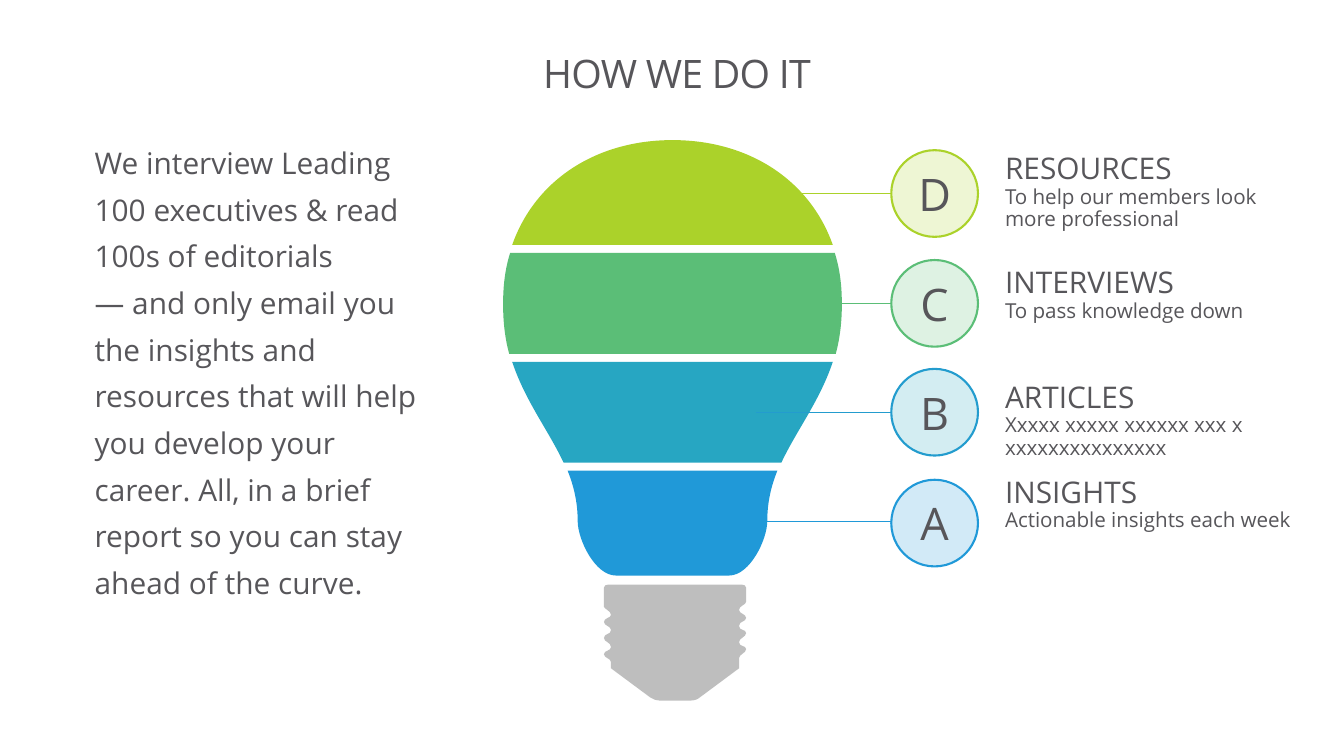
from lxml import etree
from pptx import Presentation
from pptx.dml.color import RGBColor
from pptx.enum.shapes import MSO_CONNECTOR, MSO_SHAPE
from pptx.enum.text import MSO_ANCHOR, PP_ALIGN
from pptx.oxml.ns import qn
from pptx.util import Inches, Pt

STRAIGHT, OVAL = MSO_CONNECTOR.STRAIGHT, MSO_SHAPE.OVAL
CENTER, LEFT = PP_ALIGN.CENTER, PP_ALIGN.LEFT
MIDDLE, TOP = MSO_ANCHOR.MIDDLE, MSO_ANCHOR.TOP

INK = RGBColor(0x57, 0x56, 0x5A)
GRAY = RGBColor(0x7F, 0x7F, 0x7F)
LIME = RGBColor(0xAB, 0xD2, 0x2A)
GREEN = RGBColor(0x5B, 0xBE, 0x77)
TEAL = RGBColor(0x27, 0xA6, 0xC2)
SKY = RGBColor(0x23, 0x9C, 0xCE)
BLUE = RGBColor(0x20, 0x99, 0xD8)
FONT = "Open Sans"
HEAD_SIZE, DETAIL_SIZE = 21.33, 14.67
NBSP = chr(160)

TITLE = "HOW WE DO IT"
INTRO = NBSP.join([
    "We interview Leading 100 executives & read 100s of editorials ―",
    "and only email you the insights and resources that will help you "
    "develop your career.",
    "All,",
    "in a brief report so you can stay ahead of the curve."])

# letter, heading, detail, fill, outline, line start, line y, circle top, text box
STEPS = [
    ("D", "RESOURCES", "To help our members look more professional",
     LIME, LIME, 7.5, 1.92, 1.49, (9.87, 1.48, 2.87, 0.87)),
    ("C", "INTERVIEWS", "To pass knowledge down",
     GREEN, GREEN, 7.92, 3.01, 2.58, (9.87, 2.61, 2.87, 0.65)),
    ("B", "ARTICLES", "Xxxxx xxxxx xxxxxx xxx x xxxxxxxxxxxxxxx",
     TEAL, SKY, 7.5, 4.09, 3.66, (9.87, 3.75, 2.87, 0.87)),
    ("A", "INSIGHTS", "Actionable insights each week",
     BLUE, BLUE, 7.17, 5.17, 4.76, (9.87, 4.69, 3.1, 0.65)),
]
CIRCLE_LEFT, CIRCLE_SIZE = 8.84, 0.86

BULB = [
    (GRAY, 50, [
        (7.4, 5.97), (7.4, 5.83), (7.4, 5.81, 7.38, 5.8, 7.36, 5.8),
        (6.03, 5.8), (6.01, 5.8, 5.99, 5.81, 5.99, 5.83), (5.99, 6.02),
        (5.99, 6.04, 6.06, 6.06, 6.06, 6.1), (6.06, 6.13, 5.99, 6.13, 5.99, 6.17),
        (5.99, 6.21, 6.06, 6.21, 6.06, 6.25), (6.06, 6.3, 5.99, 6.28, 5.99, 6.33),
        (5.99, 6.37, 6.06, 6.37, 6.06, 6.42), (6.06, 6.46, 5.99, 6.45, 5.99, 6.49),
        (5.99, 6.53, 6.06, 6.53, 6.06, 6.57), (6.06, 6.63), (6.45, 6.92),
        (6.48, 6.94, 6.51, 6.95, 6.54, 6.95), (6.85, 6.95),
        (6.88, 6.95, 6.92, 6.94, 6.94, 6.92), (7.33, 6.63), (7.33, 6.53),
        (7.33, 6.49, 7.4, 6.48, 7.4, 6.44), (7.4, 6.4, 7.33, 6.42, 7.33, 6.37),
        (7.33, 6.33, 7.4, 6.32, 7.4, 6.28), (7.4, 6.24, 7.33, 6.26, 7.33, 6.21),
        (7.33, 6.16, 7.4, 6.17, 7.4, 6.13), (7.4, 6.09, 7.33, 6.09, 7.33, 6.05),
        (7.33, 6.01, 7.4, 6, 7.4, 5.97)]),
    (LIME, 100, [
        (8.26, 2.43), (8.03, 1.78, 7.42, 1.39, 6.67, 1.39),
        (5.92, 1.39, 5.31, 1.78, 5.08, 2.43)]),
    (GREEN, 100, [
        (4.99, 3.02), (4.99, 3.2, 5.01, 3.36, 5.05, 3.51), (8.29, 3.51),
        (8.33, 3.36, 8.35, 3.2, 8.35, 3.02), (8.35, 2.83, 8.33, 2.67, 8.28, 2.51),
        (5.06, 2.51), (5.01, 2.67, 4.99, 2.83, 4.99, 3.02)]),
    (BLUE, 100, [
        (5.63, 4.67), (5.69, 4.82, 5.73, 4.98, 5.73, 5.17),
        (5.73, 5.35, 5.9, 5.71, 6.11, 5.71), (7.23, 5.71),
        (7.44, 5.71, 7.61, 5.35, 7.61, 5.17), (7.61, 4.98, 7.65, 4.82, 7.71, 4.67)]),
    (TEAL, 100, [
        (7.75, 4.59), (7.9, 4.27, 8.13, 3.98, 8.26, 3.59), (5.08, 3.59),
        (5.21, 3.98, 5.44, 4.27, 5.59, 4.59)]),
]


def curved_shape(s, segments):
    points = [(Inches(seg[i]), Inches(seg[i + 1]))
              for seg in segments for i in range(0, len(seg), 2)]
    fb = s.shapes.build_freeform(*points[0], scale=1.0)
    fb.add_line_segments(points[1:], close=True)
    sp = fb.convert_to_shape()
    lines = iter(list(sp._element.iter(qn("a:lnTo"))))
    for seg in segments[1:]:
        first = next(lines)
        if len(seg) == 6:
            curve = etree.Element(qn("a:cubicBezTo"))
            first.addprevious(curve)
            for line in (first, next(lines), next(lines)):
                curve.append(line[0])
                line.getparent().remove(line)
    return sp


def paint(sp, color, opacity):
    sp.shadow.inherit = False
    sp.fill.solid()
    sp.fill.fore_color.rgb = color
    if opacity < 100:
        clr = sp._element.spPr.find(qn("a:solidFill"))[0]
        etree.SubElement(clr, qn("a:alpha")).set("val", str(opacity * 1000))


def write(sp, lines, spacing=1.0, align=LEFT, anchor=TOP, wrap=True):
    tf = sp.text_frame
    frame = {"word_wrap": wrap, "vertical_anchor": anchor}
    for name, value in frame.items():
        setattr(tf, name, value)
    for i, (text, size) in enumerate(lines):
        p = tf.paragraphs[0] if i == 0 else tf.add_paragraph()
        p.alignment, p.line_spacing = align, spacing
        r = p.add_run()
        r.text = text
        for name, value in {"name": FONT, "size": Pt(size)}.items():
            setattr(r.font, name, value)
        r.font.color.rgb = INK
    return tf


def text_box(s, box, lines, **style):
    return write(s.shapes.add_textbox(*map(Inches, box)), lines, **style)


def add_bulb(s):
    for color, opacity, segments in BULB:
        sp = curved_shape(s, segments)
        paint(sp, color, opacity)
        sp.line.fill.background()


def add_steps(s):
    for letter, head, detail, fill, edge, x, y, top, box in STEPS:
        line = s.shapes.add_connector(STRAIGHT, Inches(x), Inches(y),
                                      Inches(CIRCLE_LEFT), Inches(y))
        line.line.color.rgb = edge
        line.line.width = Pt(0.75)
        etree.SubElement(line._element.spPr, qn("a:effectLst"))
        circle = (CIRCLE_LEFT, top, CIRCLE_SIZE, CIRCLE_SIZE)
        sp = s.shapes.add_shape(OVAL, *map(Inches, circle))
        paint(sp, fill, 20)
        sp.line.color.rgb = edge
        sp.line.width = Pt(1.5)
        write(sp, [(letter, 32)], align=CENTER, anchor=MIDDLE, wrap=False)
        text_box(s, box, [(head, HEAD_SIZE), (detail, DETAIL_SIZE)], spacing=0.9)


def main():
    prs = Presentation()
    prs.slide_width, prs.slide_height = Inches(13.33), Inches(7.5)
    s = prs.slides.add_slide(prs.slide_layouts[6])
    tf = text_box(s, (1.05, 0.31, 11.33, 0.89), [(TITLE, 28)],
                  spacing=0.86, align=CENTER, anchor=MIDDLE)
    for side in ("left", "right", "top", "bottom"):
        setattr(tf, "margin_" + side, 0)
    tf.paragraphs[0].runs[0]._r.get_or_add_rPr().set("spc", "-50")
    add_bulb(s)
    add_steps(s)
    text_box(s, (0.84, 1.28, 3.5, 4.75), [(INTRO, HEAD_SIZE)], spacing=1.3)
    prs.save("out.pptx")


if __name__ == "__main__":
    main()
